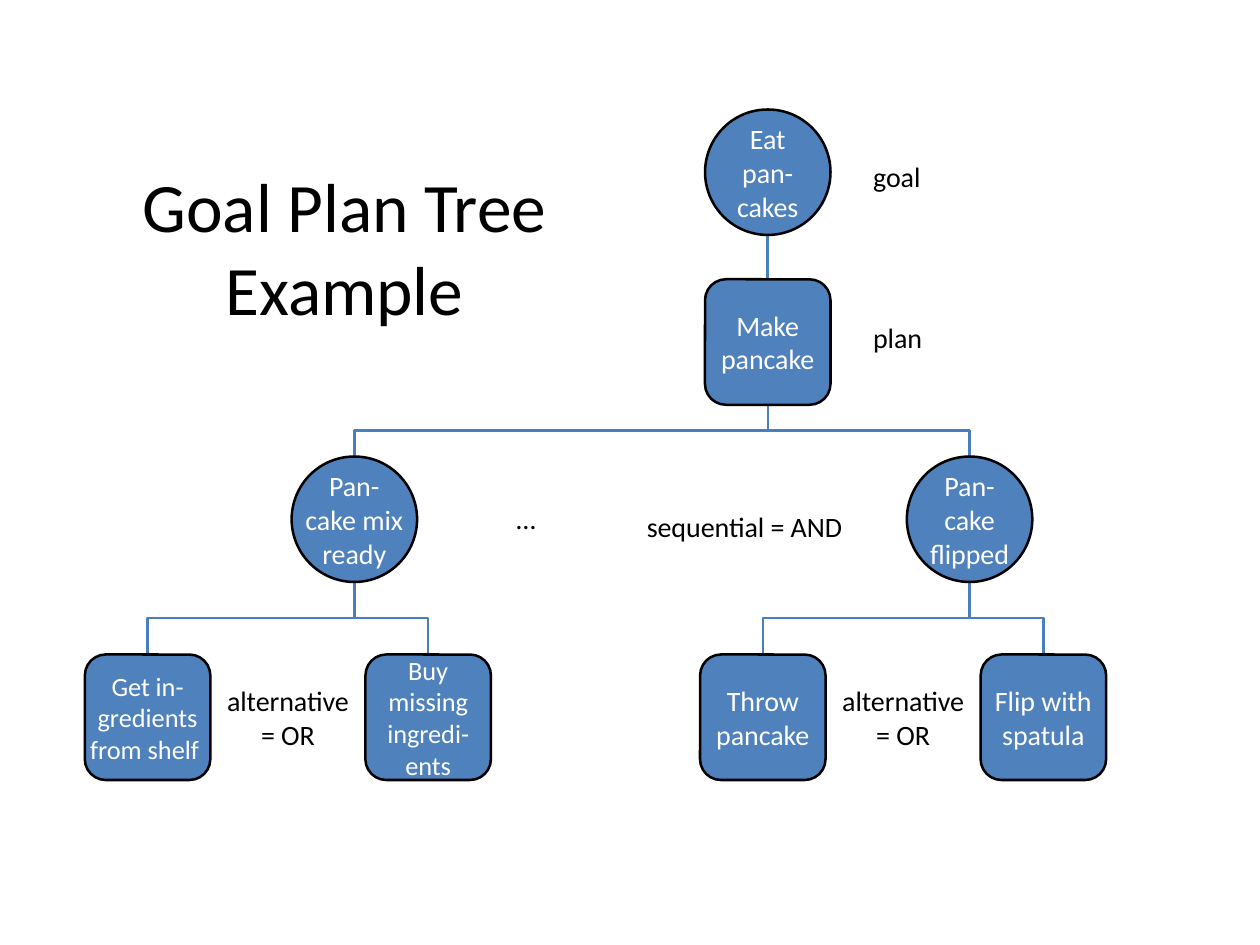
from pptx import Presentation, util as u
from pptx.dml.color import RGBColor
from pptx.enum import shapes, text
from lxml import etree

PX = 914400 // 200
NODE = 102
HALF = NODE // 2
COLORS = {"fill": "4F81BD", "wire": "4B7EBC", "ink": "000000", "paper": "FFFFFF"}
GOAL = shapes.MSO_SHAPE.OVAL
PLAN = shapes.MSO_SHAPE.ROUNDED_RECTANGLE
MID = text.PP_ALIGN.CENTER
LEFT = text.PP_ALIGN.LEFT


def px(*nums):
    return [u.Emu(int(n * PX)) for n in nums]


def rgb(name):
    return RGBColor.from_string(COLORS[name])


def write(frame, words, size, color, align):
    para = frame.paragraphs[0]
    para.alignment = align
    for i, line in enumerate(words.split("\n")):
        if i:
            para.add_line_break()
        run = para.add_run()
        run.text = line
        run.font.name = "Calibri"
        run.font.size = u.Pt(size)
        run.font.color.rgb = rgb(color)


def label(slide, x, y, w, h, words, align=LEFT):
    frame = slide.shapes.add_textbox(*px(x, y, w, h)).text_frame
    frame.word_wrap = False
    frame.auto_size = text.MSO_AUTO_SIZE.SHAPE_TO_FIT_TEXT
    write(frame, words, 8.2, "ink", align)


def node(slide, kind, x, y, words, size=8.2):
    shape = slide.shapes.add_shape(kind, *px(x, y, NODE, NODE))
    shape.shadow.inherit = False
    shape.fill.solid()
    shape.fill.fore_color.rgb = rgb("fill")
    shape.line.color.rgb = rgb("ink")
    shape.line.width = u.Pt(0.75)
    frame = shape.text_frame
    frame.margin_left = frame.margin_right = 0
    frame.margin_top = frame.margin_bottom = 0
    frame.vertical_anchor = text.MSO_ANCHOR.MIDDLE
    frame.word_wrap = "\n" not in words
    write(frame, words, size, "paper", MID)


def wire(slide, kind, *ends):
    line = slide.shapes.add_connector(kind, *px(*ends))
    line.line.color.rgb = rgb("wire")
    line.line.width = u.Pt(0.75)
    props = line._element.spPr
    etree.SubElement(props, props.xfrm.tag.replace("xfrm", "effectLst"))
    return props.xfrm


def elbow(slide, x, y, to, end):
    drop, span = end - y, abs(to - x)
    left = (x + to - drop) / 2
    top = (y + end - span) / 2
    start, stop, turn = left, left + drop, 90
    if to > x:
        start, stop, turn = stop, start, 270
    form = wire(slide, shapes.MSO_CONNECTOR.ELBOW, start, top, stop, top + span)
    form.set("rot", str(turn * 60000))


def title(slide, x, y, w, h):
    frame = slide.shapes.add_textbox(*px(x, y, w, h)).text_frame
    frame.word_wrap = True
    frame.vertical_anchor = text.MSO_ANCHOR.MIDDLE
    write(frame, "Goal Plan Tree Example", 20.3, "ink", MID)


def root(slide, x, y, kids, end):
    low = y + 138
    mid = x + HALF
    wire(slide, shapes.MSO_CONNECTOR.STRAIGHT, mid, y + NODE, mid, low)
    for kid in kids:
        elbow(slide, mid, low + NODE, kid, end)
    node(slide, GOAL, x, y, "Eat pan-cakes")
    node(slide, PLAN, x, low, "Make pancake")
    label(slide, x + 117, y + 31, 80, 48, "goal")
    label(slide, x + 117, y + 162, 80, 48, "plan")


def branch(slide, x, y, goal, plans, size):
    top = x + 168
    low = y + 161
    for i, words in enumerate(plans):
        spot = x + i * 228
        elbow(slide, top + HALF, y + NODE, spot + HALF, low)
        node(slide, PLAN, spot, low, words, size)
    node(slide, GOAL, top, y, goal)
    label(slide, x + 94, low + 14, 142, 76, "alternative\n= OR", MID)


def main():
    deck = Presentation()
    deck.slide_width, deck.slide_height = px(1024, 768)
    slide = deck.slides.add_slide(deck.slide_layouts[6])
    title(slide, 70, 136, 420, 128)
    row = 371
    root(slide, 573, 89, (288, 788), row)
    label(slide, 400, row + 27, 56, 48, "…")
    label(slide, 506, row + 33, 202, 48, "sequential = AND")
    branch(slide, 69, row, "Pan-\ncake mix\nready",
           ("Get in-\ngredients\nfrom shelf ", "Buy missing ingredi-ents"), 7.7)
    branch(slide, 569, row, "Pan-cake flipped",
           ("Throw pancake", "Flip with spatula"), 8.2)
    deck.save("out.pptx")


if __name__ == "__main__":
    main()
